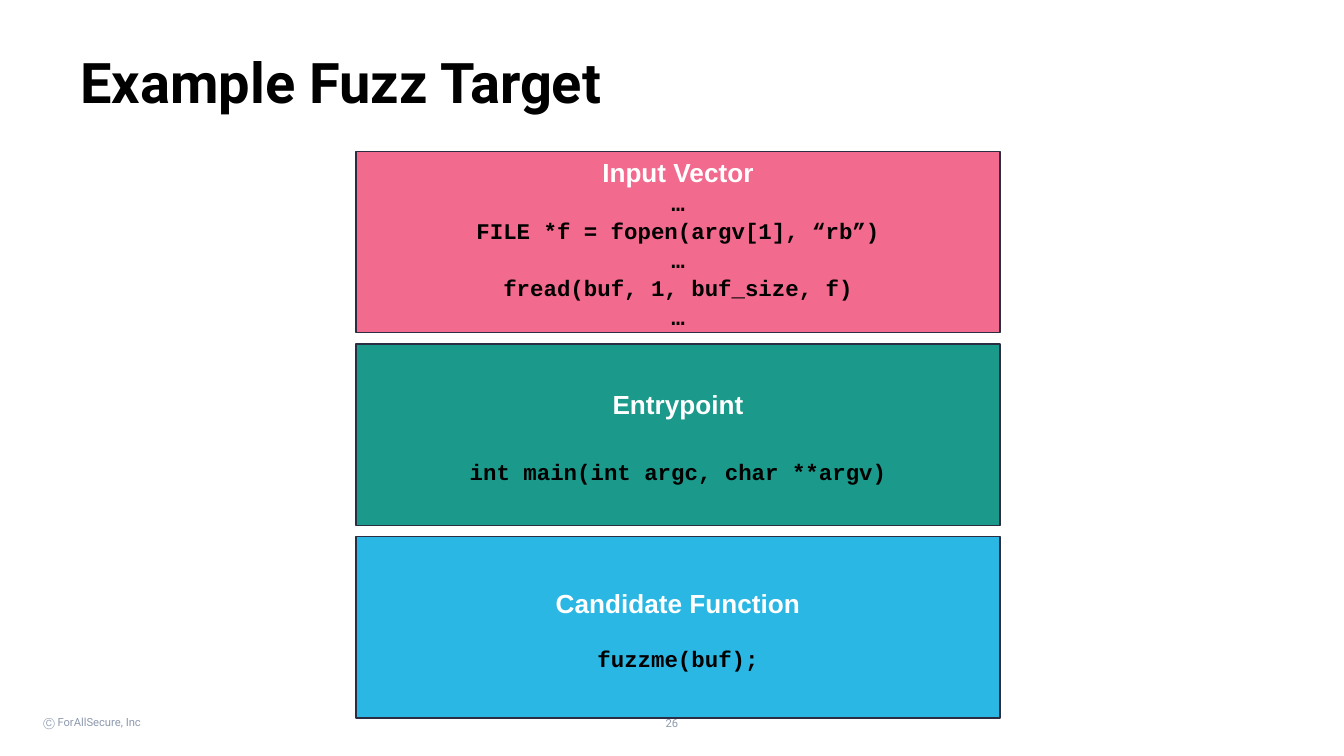
"""Build the Example Fuzz Target slide."""
from dataclasses import dataclass

from pptx import Presentation
from pptx.dml.color import RGBColor
from pptx.enum.shapes import MSO_SHAPE
from pptx.enum.text import MSO_ANCHOR, PP_ALIGN
from pptx.util import Cm, Pt

PROCESS = MSO_SHAPE.FLOWCHART_PROCESS
TOP, MIDDLE = MSO_ANCHOR.TOP, MSO_ANCHOR.MIDDLE
LEFT, CENTER = PP_ALIGN.LEFT, PP_ALIGN.CENTER

BLACK, WHITE, NAVY, GRAY = "000000", "FFFFFF", "2B2D42", "8D99AE"
STAGE_LEFT, STAGE_TOP = 6.73, 2.86
STAGE_WIDTH, STAGE_HEIGHT, STAGE_PITCH = 12.17, 3.43, 3.64


@dataclass
class Stage:
    """One coloured box with a heading and lines of code."""

    heading: str
    code: list[str]
    fill: str
    code_gap: float
    spacing: float


STAGES = [
    Stage(
        "Input Vector",
        ["…", "FILE *f = fopen(argv[1], “rb”)", "…", "fread(buf, 1, buf_size, f)", "…"],
        "F26A8D", 0, 1.06,
    ),
    Stage("Entrypoint", ["int main(int argc, char **argv)"], "1B998B", 18.2, 1.15),
    Stage("Candidate Function", ["fuzzme(buf);"], "2BB7E3", 11.7, 1.15),
]


def color(value: str) -> RGBColor:
    """Turn a hex string into a colour."""
    return RGBColor.from_string(value)


def prepare_frame(box, anchor, side: float, end: float):
    """Set wrapping, anchor and insets in cm, and return the text frame."""
    frame = box.text_frame
    frame.word_wrap = True
    frame.vertical_anchor = anchor
    frame.margin_left = frame.margin_right = Cm(side)
    frame.margin_top = frame.margin_bottom = Cm(end)
    return frame


def write(para, text: str, *, font: str, size: float, ink: str,
          bold: bool = False, align=LEFT, spacing: float = 1.0) -> None:
    """Write formatted text into a paragraph."""
    para.alignment = align
    para.line_spacing = spacing
    span = para.add_run()
    span.text = text
    span.font.name = font
    span.font.size = Pt(size)
    span.font.bold = bold
    span.font.color.rgb = color(ink)


def add_label(page, text: str, area: tuple[float, float, float, float], *,
              anchor=TOP, side: float = 0.18, end: float = 0.1, **style) -> None:
    """Add a text box holding one Roboto line."""
    box = page.shapes.add_textbox(*map(Cm, area))
    frame = prepare_frame(box, anchor, side, end)
    write(frame.paragraphs[0], text, font="Roboto", **style)


def add_stage(page, stage: Stage, top: float) -> None:
    """Draw a stage box with its heading and code."""
    box = page.shapes.add_shape(
        PROCESS, Cm(STAGE_LEFT), Cm(top), Cm(STAGE_WIDTH), Cm(STAGE_HEIGHT)
    )
    box.shadow.inherit = False
    box.fill.solid()
    box.fill.fore_color.rgb = color(stage.fill)
    box.line.color.rgb = color(NAVY)
    box.line.width = Pt(0.75)
    frame = prepare_frame(box, MIDDLE, 0.25, 0.25)
    shared = {"bold": True, "align": CENTER, "spacing": stage.spacing}
    write(frame.paragraphs[0], stage.heading, font="Arial", size=14, ink=WHITE, **shared)
    for index, line in enumerate(stage.code):
        para = frame.add_paragraph()
        para.space_before = Pt(0 if index else stage.code_gap)
        write(para, line, font="Courier New", size=12, ink=BLACK, **shared)


def main() -> None:
    """Build and save the deck."""
    deck = Presentation()
    deck.slide_width, deck.slide_height = Cm(25.4), Cm(14.29)
    page = deck.slides.add_slide(deck.slide_layouts[6])
    add_label(page, "26", (9.83, 13.44, 5.74, 0.58), size=6, ink=GRAY, align=CENTER)
    add_label(page, "Ⓒ ForAllSecure, Inc", (0.64, 13.36, 5.74, 0.58),
              anchor=MIDDLE, size=6, ink=GRAY)
    add_label(page, "Example Fuzz Target", (1.27, 0.64, 22.86, 2.24),
              side=0.25, end=0.25, size=30, ink=BLACK, bold=True)
    for index, stage in enumerate(STAGES):
        add_stage(page, stage, STAGE_TOP + index * STAGE_PITCH)
    deck.save("out.pptx")


if __name__ == "__main__":
    main()
